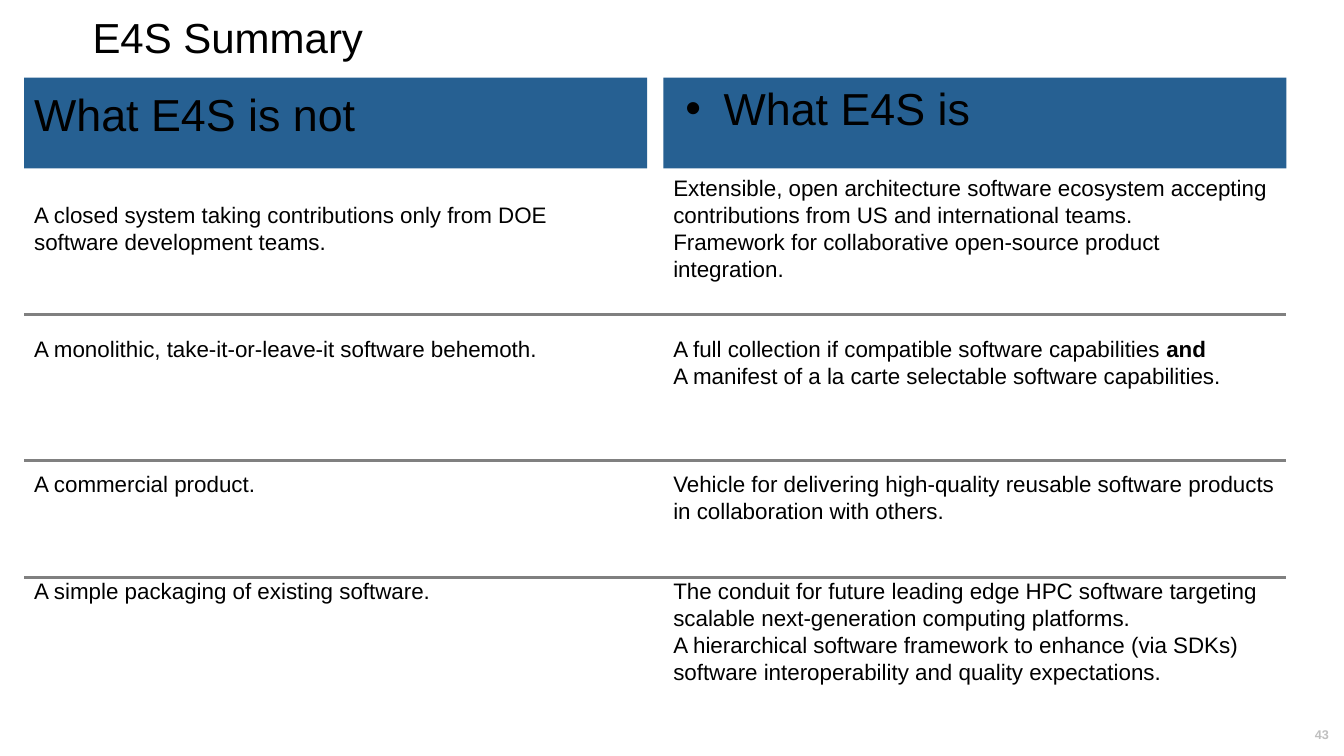
from dataclasses import dataclass

from lxml import etree
from pptx import Presentation
from pptx import util as u
from pptx.dml.color import RGBColor
from pptx.enum import shapes, text
from pptx.oxml import ns

BLACK = RGBColor(0x00, 0x00, 0x00)
BLUE = RGBColor(0x26, 0x60, 0x92)
RULE_GREY = RGBColor(0x80, 0x80, 0x80)
NUMBER_GREY = RGBColor(0xBF, 0xBF, 0xBF)
FONT = "Arial"
LINE = 19.2
LEFT, RIGHT, COLUMN_WIDTH = 17.3, 473.8, 445
HEAD_TOP, HEAD_HEIGHT = 55.5, 64.8
BODY_TOP, BODY_HEIGHT = 120.3, 401
RULE_TOPS = (224.6, 329, 412.6)


@dataclass
class Para:
    content: str
    gap_lines: int = 0
    bold_end: str = ""


@dataclass
class Column:
    left: float
    heading: str
    head_inset: float
    body_inset: float
    paras: list[Para]
    bullet: bool = False


COLUMNS = [
    Column(RIGHT, "What E4S is", 6.2, 4.2, [
        Para("Extensible, open architecture software ecosystem accepting "
             "contributions from US and international teams."),
        Para("Framework for collaborative open-source product integration."),
        Para("A full collection if compatible software capabilities ", 2, "and"),
        Para("A manifest of a la carte selectable software capabilities."),
        Para("Vehicle for delivering high-quality reusable software products "
             "in collaboration with others.", 3),
        Para("The conduit for future leading edge HPC software targeting "
             "scalable next-generation computing platforms.", 2),
        Para("A hierarchical software framework to enhance (via SDKs) "
             "software interoperability and quality expectations."),
    ], bullet=True),
    Column(LEFT, "What E4S is not", 6.8, 4.2 + LINE, [
        Para("A closed system taking contributions only from DOE software "
             "development teams."),
        Para("A monolithic, take-it-or-leave-it software behemoth.", 3),
        Para("A commercial product.", 4),
        Para("A simple packaging of existing software.", 3),
    ]),
]


def add_run(p, content: str, *, size: float, color: RGBColor = BLACK,
            bold: bool = False) -> None:
    r = p.add_run()
    r.text = content
    r.font.name = FONT
    r.font.size = u.Pt(size)
    r.font.bold = bold
    r.font.color.rgb = color


def set_frame(sp, *, top: float, side: float = 7.2, bottom: float = 3.6,
              anchor=text.MSO_ANCHOR.TOP):
    tf = sp.text_frame
    tf.word_wrap = True
    tf.vertical_anchor = anchor
    tf.margin_left = tf.margin_right = u.Pt(side)
    tf.margin_top, tf.margin_bottom = u.Pt(top), u.Pt(bottom)
    return tf


def add_box(s, left: float, top: float, width: float, height: float):
    return s.shapes.add_textbox(u.Pt(left), u.Pt(top), u.Pt(width), u.Pt(height))


def add_bullet(p) -> None:
    pPr = p._p.get_or_add_pPr()
    pPr.set("marL", str(u.Pt(36)))
    pPr.set("indent", str(-u.Pt(27.4)))
    etree.SubElement(pPr, ns.qn("a:buFont")).set("typeface", FONT)
    etree.SubElement(pPr, ns.qn("a:buChar")).set("char", "•")


def add_heading(s, col: Column) -> None:
    sp = s.shapes.add_shape(shapes.MSO_SHAPE.RECTANGLE, u.Pt(col.left),
                            u.Pt(HEAD_TOP), u.Pt(COLUMN_WIDTH), u.Pt(HEAD_HEIGHT))
    sp.shadow.inherit = False
    sp.fill.solid()
    sp.fill.fore_color.rgb = BLUE
    sp.line.fill.background()
    p = set_frame(sp, top=col.head_inset).paragraphs[0]
    p.alignment = text.PP_ALIGN.LEFT
    if col.bullet:
        add_bullet(p)
        p.line_spacing = 0.9
    add_run(p, col.heading, size=32)


def add_body(s, col: Column) -> None:
    sp = add_box(s, col.left, BODY_TOP, COLUMN_WIDTH, BODY_HEIGHT)
    tf = set_frame(sp, top=col.body_inset)
    for i, para in enumerate(col.paras):
        p = tf.add_paragraph() if i else tf.paragraphs[0]
        p.line_spacing = u.Pt(LINE)
        if para.gap_lines:
            p.space_before = u.Pt(para.gap_lines * LINE)
        add_run(p, para.content, size=16)
        if para.bold_end:
            add_run(p, para.bold_end, size=16, bold=True)


def add_rule(s, top: float) -> None:
    c = s.shapes.add_connector(shapes.MSO_CONNECTOR.STRAIGHT, u.Pt(LEFT), u.Pt(top),
                               u.Pt(RIGHT + COLUMN_WIDTH), u.Pt(top))
    c.line.color.rgb = RULE_GREY
    c.line.width = u.Pt(2.25)
    etree.SubElement(c._element.spPr, ns.qn("a:effectLst"))


def main() -> None:
    prs = Presentation()
    prs.slide_width, prs.slide_height = u.Pt(960), u.Pt(540)
    s = prs.slides.add_slide(prs.slide_layouts[6])

    tf = set_frame(add_box(s, 933, 519, 22.4, 12.2), top=0, side=0, bottom=0,
                   anchor=text.MSO_ANCHOR.MIDDLE)
    p = tf.paragraphs[0]
    p.alignment = text.PP_ALIGN.CENTER
    p.line_spacing = 0.9
    add_run(p, "43", size=9, color=NUMBER_GREY, bold=True)

    p = set_frame(add_box(s, 59, 5.8, 240, 35.3), top=6.4).paragraphs[0]
    p.line_spacing = 0.9
    add_run(p, "E4S Summary", size=30)

    for col in COLUMNS:
        add_heading(s, col)
    for col in COLUMNS:
        add_body(s, col)
    for top in RULE_TOPS:
        add_rule(s, top)
    prs.save("out.pptx")


if __name__ == "__main__":
    main()
